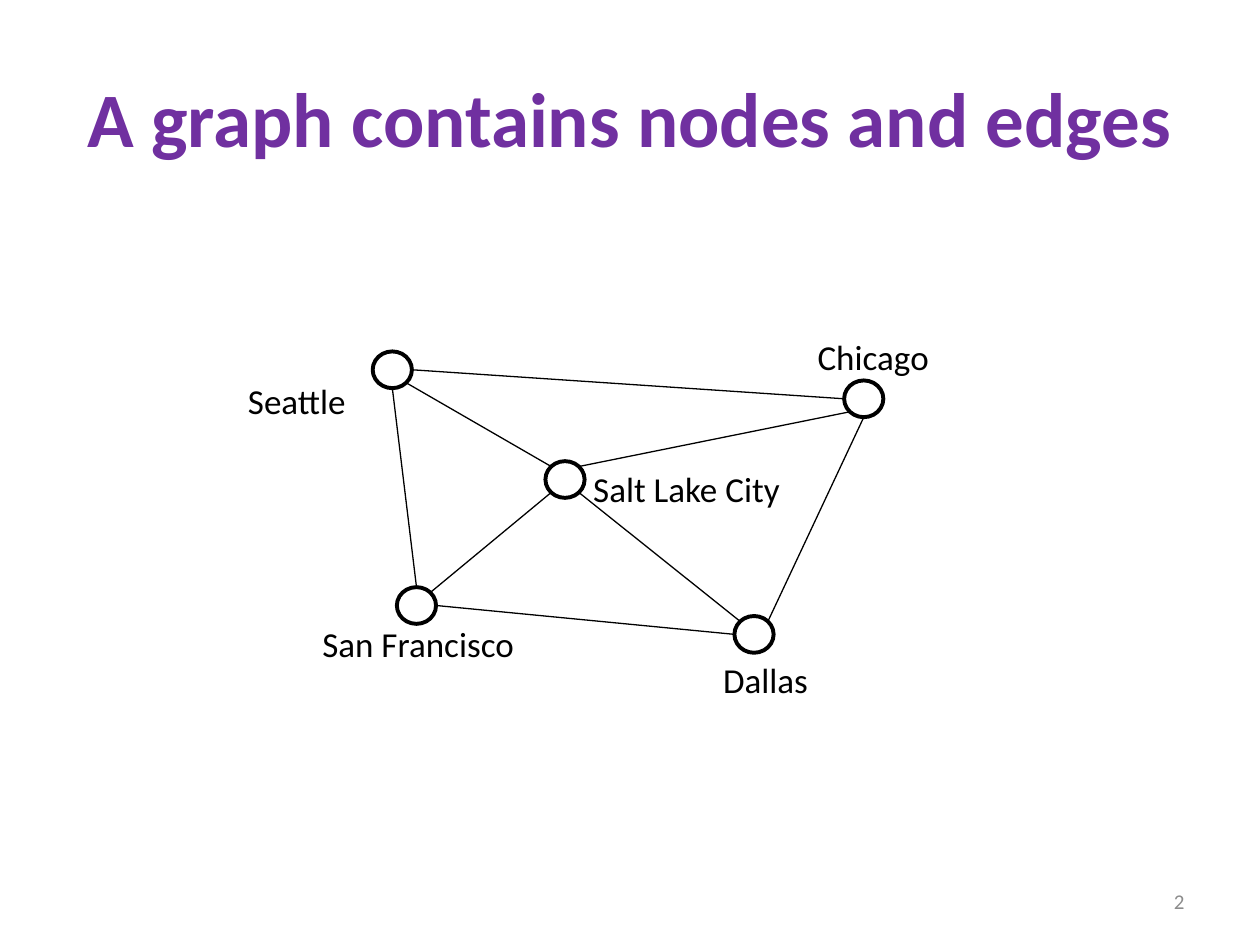
import math

import lxml.etree
import pptx
import pptx.dml.color
import pptx.enum.shapes
import pptx.enum.text
import pptx.oxml.ns
import pptx.util

Pt = pptx.util.Pt
RGBColor = pptx.dml.color.RGBColor
PP_ALIGN = pptx.enum.text.PP_ALIGN
MSO_ANCHOR = pptx.enum.text.MSO_ANCHOR

# Content, with lengths in points
TITLE = "A graph contains nodes and edges"
SLIDE_NUMBER = "2"
# City: node centre, then left, top and width of its label
CITIES = {
    "Seattle": ((224.2, 211.3), (134.6, 213.1, 70.6)),
    "San Francisco": ((238, 346), (177.1, 352.1, 131.8)),
    "Dallas": ((430.9, 362.5), (406.1, 373, 66.2)),
    "Chicago": ((493.6, 227.9), (460.1, 187.9, 82.8)),
    "Salt Lake City": ((322.9, 274), (331.9, 263.5, 134.6)),
}
# Each edge leaves and enters a node at an angle, clockwise from the right
EDGES = [
    ("San Francisco", 270, "Seattle", 90),
    ("Chicago", 90, "Dallas", 315),
    ("Chicago", 180, "Seattle", 0),
    ("Seattle", 45, "Salt Lake City", 225),
    ("San Francisco", 315, "Salt Lake City", 135),
    ("Salt Lake City", 45, "Dallas", 225),
    ("Salt Lake City", 315, "Chicago", 135),
    ("Dallas", 180, "San Francisco", 0),
]

FONT = "Calibri"
PURPLE = RGBColor(0x70, 0x30, 0xA0)
GRAY = RGBColor(0x8C, 0x8C, 0x8C)
BLACK = RGBColor(0, 0, 0)
WHITE = RGBColor(255, 255, 255)
NODE_WIDTH, NODE_HEIGHT = 22.4, 21
LABEL_HEIGHT = 28.8


def write(shape, text, size, color, alignment, bold=False):
    paragraph = shape.text_frame.paragraphs[0]
    paragraph.alignment = alignment
    run = paragraph.add_run()
    run.text = text
    run.font.name = FONT
    run.font.size = Pt(size)
    run.font.bold = bold
    run.font.color.rgb = color


def node_point(city, angle):
    (x, y), _ = CITIES[city]
    turn = math.radians(angle)
    return (Pt(x + NODE_WIDTH / 2 * math.cos(turn)),
            Pt(y + NODE_HEIGHT / 2 * math.sin(turn)))


def add_edge(shapes, start, start_angle, end, end_angle):
    edge = shapes.add_connector(
        pptx.enum.shapes.MSO_CONNECTOR.STRAIGHT,
        *node_point(start, start_angle), *node_point(end, end_angle))
    edge.line.color.rgb = BLACK
    edge.line.width = Pt(0.75)
    lxml.etree.SubElement(edge._element.spPr, pptx.oxml.ns.qn("a:effectLst"))


def add_node(shapes, center):
    x, y = center
    node = shapes.add_shape(
        pptx.enum.shapes.MSO_SHAPE.OVAL,
        Pt(x - NODE_WIDTH / 2), Pt(y - NODE_HEIGHT / 2),
        Pt(NODE_WIDTH), Pt(NODE_HEIGHT))
    node.shadow.inherit = False
    node.fill.solid()
    node.fill.fore_color.rgb = WHITE
    node.line.color.rgb = BLACK
    node.line.width = Pt(2.25)


def add_label(shapes, city, left, top, width):
    label = shapes.add_textbox(Pt(left), Pt(top), Pt(width), Pt(LABEL_HEIGHT))
    label.text_frame.word_wrap = False
    label.text_frame.auto_size = pptx.enum.text.MSO_AUTO_SIZE.SHAPE_TO_FIT_TEXT
    write(label, city, 20, BLACK, PP_ALIGN.LEFT)


def main():
    presentation = pptx.Presentation()
    presentation.slide_width, presentation.slide_height = Pt(720), Pt(540)
    slide = presentation.slides.add_slide(presentation.slide_layouts[5])

    # Title
    title = slide.shapes.title
    title.left, title.top, title.width, title.height = Pt(36), Pt(21.6), Pt(648), Pt(90)
    title.text_frame.vertical_anchor = MSO_ANCHOR.MIDDLE
    write(title, TITLE, 44, PURPLE, PP_ALIGN.CENTER, bold=True)

    # Slide number
    number = slide.shapes.add_textbox(Pt(516), Pt(500.5), Pt(168), Pt(28.8))
    number.text_frame.word_wrap = True
    number.text_frame.vertical_anchor = MSO_ANCHOR.MIDDLE
    write(number, SLIDE_NUMBER, 12, GRAY, PP_ALIGN.RIGHT)

    # Graph: edges, then nodes, then labels
    graph = slide.shapes.add_group_shape().shapes
    for edge in EDGES:
        add_edge(graph, *edge)
    for center, _ in CITIES.values():
        add_node(graph, center)
    for city, (_, label_place) in CITIES.items():
        add_label(graph, city, *label_place)

    presentation.save("out.pptx")


if __name__ == "__main__":
    main()
